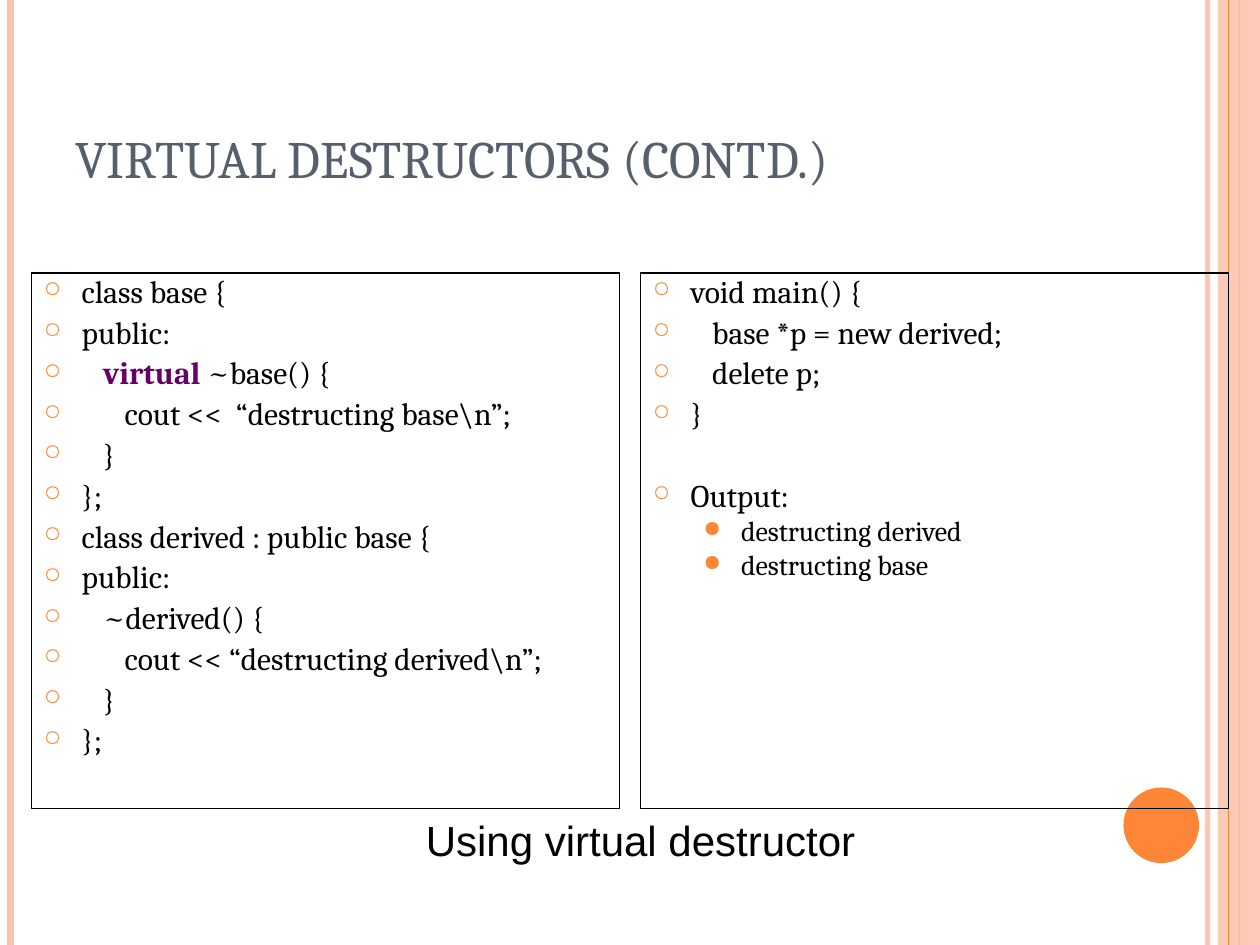
"""Builds a slide on virtual destructors: two code panels, a title and a caption."""
from lxml import etree
from pptx import Presentation, util as u
from pptx.dml import color
from pptx.enum import shapes as sh, text as tx
from pptx.oxml import ns

deck = Presentation()
deck.slide_width, deck.slide_height = u.Inches(10), u.Inches(7.5)
slide = deck.slides.add_slide(deck.slide_layouts[6])
unit = deck.slide_width // 120
tall = deck.slide_height
peach, orange, black = "FEC3AE", "FE8637", "000000"


def paint(fmt, tone, alpha=None):
    """Gives a fill or font a solid colour."""
    if hasattr(fmt, "solid"):
        fmt.solid()
        hue = fmt.fore_color
    else:
        hue = fmt.color
    hue.rgb = color.RGBColor.from_string(tone)
    if alpha:
        node = fmt._xPr.find(".//" + ns.qn("a:srgbClr"))
        etree.SubElement(node, ns.qn("a:alpha"), val=str(alpha * 1000))


def write(para, runs, look):
    """Adds runs of (text, format values) to a paragraph."""
    for words, more in runs:
        run = para.add_run()
        run.text = words
        vals = {**look, **more}
        paint(run.font, vals.pop("tone"))
        for key, val in vals.items():
            setattr(run.font, key, val)


bars = [(115, peach, 3, 93), (1, peach, 4.5, None), (118, orange, 1.5, None),
        (116, peach, 0, 87), (117, orange, 0.75, None)]
for col, tone, width, alpha in bars:
    if width:
        bar = slide.shapes.add_connector(
            sh.MSO_CONNECTOR.STRAIGHT, col * unit, 0, col * unit, tall)
        bar.line.width = u.Pt(width)
        paint(bar.line.fill, tone, alpha)
        etree.SubElement(bar._element.spPr, ns.qn("a:effectLst"))
    else:
        bar = slide.shapes.add_shape(
            sh.MSO_SHAPE.RECTANGLE, col * unit, 0, 4 * unit, tall)
        paint(bar.fill, tone, alpha)
        bar.line.fill.background()
        bar.shadow.inherit = False

dot = slide.shapes.add_shape(
    sh.MSO_SHAPE.OVAL, 107 * unit, 75 * unit, 7.2 * unit, 7.2 * unit)
paint(dot.fill, orange)
dot.line.fill.background()
dot.shadow.inherit = False

labels = [
    ((6, 3.6, 98, 15), "VIRTUAL DESTRUCTORS (CONTD.)", tx.MSO_ANCHOR.BOTTOM,
     tx.PP_ALIGN.LEFT, 0, {"name": "Cambria", "size": u.Pt(30), "tone": "575F6D"}),
    ((39, 77, 44, 6), "Using virtual destructor", tx.MSO_ANCHOR.TOP,
     tx.PP_ALIGN.CENTER, 15, {"name": "Arial", "size": u.Pt(24), "tone": black}),
]
for cells, words, anchor, align, gap, look in labels:
    frame = slide.shapes.add_textbox(*[n * unit for n in cells]).text_frame
    frame.word_wrap, frame.vertical_anchor = True, anchor
    para = frame.paragraphs[0]
    para.alignment, para.space_before = align, u.Pt(gap)
    write(para, [(words, {})], look)

kinds = {
    "code": {"size": 18, "gap": 6, "mark": "○", "share": 70, "left": 0.3, "level": 0},
    "head": {"size": 18, "gap": 29.3, "mark": "○", "share": 70, "left": 0.3, "level": 0},
    "item": {"size": 16, "gap": 4, "mark": "●", "share": 80, "left": 0.7, "level": 1},
}
key = [("virtual", {"tone": "660066", "bold": True}), (" ~base() {", {})]
panels = [
    (3, [("code", 0, "class base {"), ("code", 0, "public:"), ("code", 1, key),
         ("code", 2, "cout <<  “destructing base\\n”;"), ("code", 1, "}"),
         ("code", 0, "};"), ("code", 0, "class derived : public base {"),
         ("code", 0, "public:"), ("code", 1, "~derived() {"),
         ("code", 2, "cout << “destructing derived\\n”;"), ("code", 1, "}"),
         ("code", 0, "};")]),
    (61, [("code", 0, "void main() {"), ("code", 1, "base *p = new derived;"),
          ("code", 1, "delete p;"), ("code", 0, "}"), ("head", 0, "Output:"),
          ("item", 0, "destructing derived"), ("item", 0, "destructing base")]),
]
for col, rows in panels:
    box = slide.shapes.add_shape(
        sh.MSO_SHAPE.RECTANGLE, col * unit, 26 * unit, 56 * unit, 51 * unit)
    box.fill.background()
    box.shadow.inherit = False
    paint(box.line.fill, black)
    box.line.width = u.Pt(0.75)
    frame = box.text_frame
    frame.word_wrap, frame.vertical_anchor = True, tx.MSO_ANCHOR.TOP
    for num, (kind, depth, words) in enumerate(rows):
        form = kinds[kind]
        para = frame.add_paragraph() if num else frame.paragraphs[0]
        vals = {"alignment": tx.PP_ALIGN.LEFT, "line_spacing": 0.8,
                "space_before": u.Pt(form["gap"]), "level": form["level"]}
        for name, val in vals.items():
            setattr(para, name, val)
        step = 0.17 * depth
        props = para._p.get_or_add_pPr()
        props.set("marL", str(u.Inches(form["left"] + step)))
        props.set("indent", str(u.Inches(-0.3 - step)))
        hue = etree.SubElement(props, ns.qn("a:buClr"))
        etree.SubElement(hue, ns.qn("a:srgbClr"), val=orange)
        etree.SubElement(props, ns.qn("a:buSzPct"), val=str(form["share"] * 1000))
        etree.SubElement(props, ns.qn("a:buChar"), char=form["mark"])
        runs = [(words, {})] if isinstance(words, str) else words
        write(para, runs, {"name": "Cambria", "size": u.Pt(form["size"]), "tone": black})

deck.save("out.pptx")
